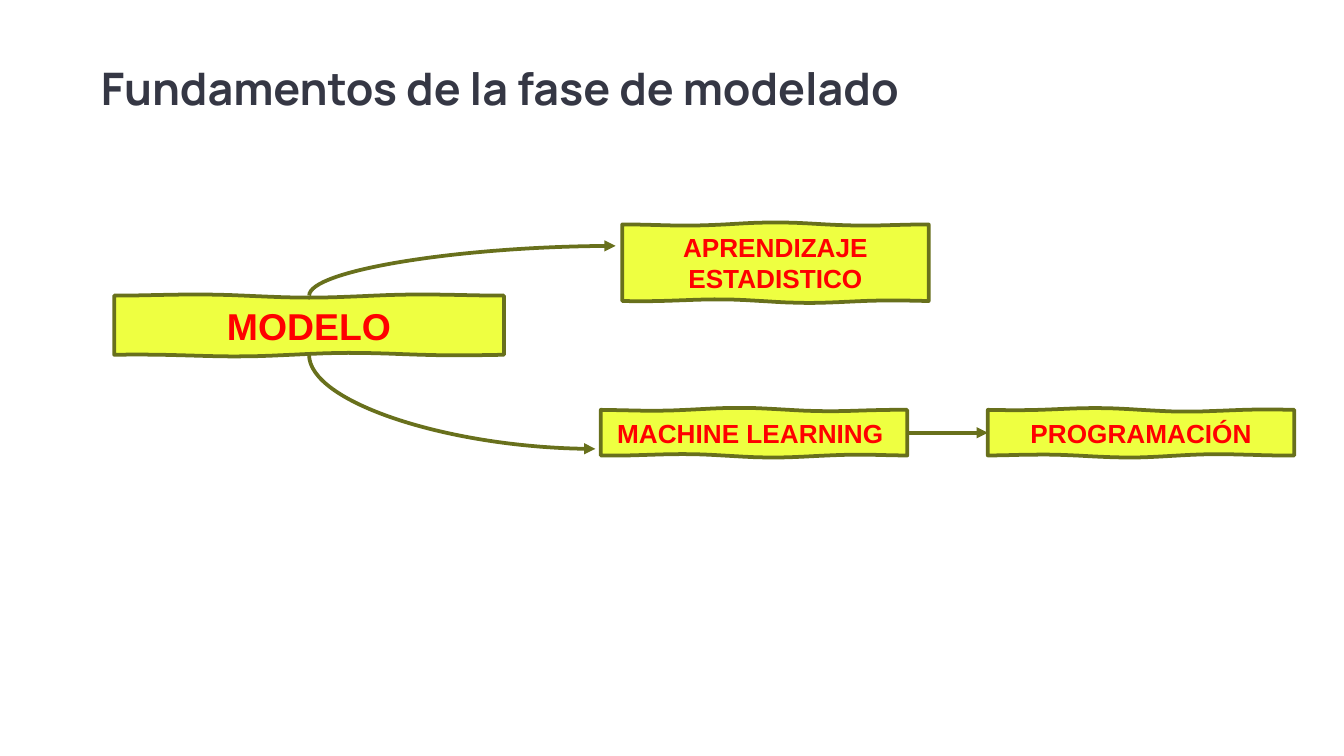
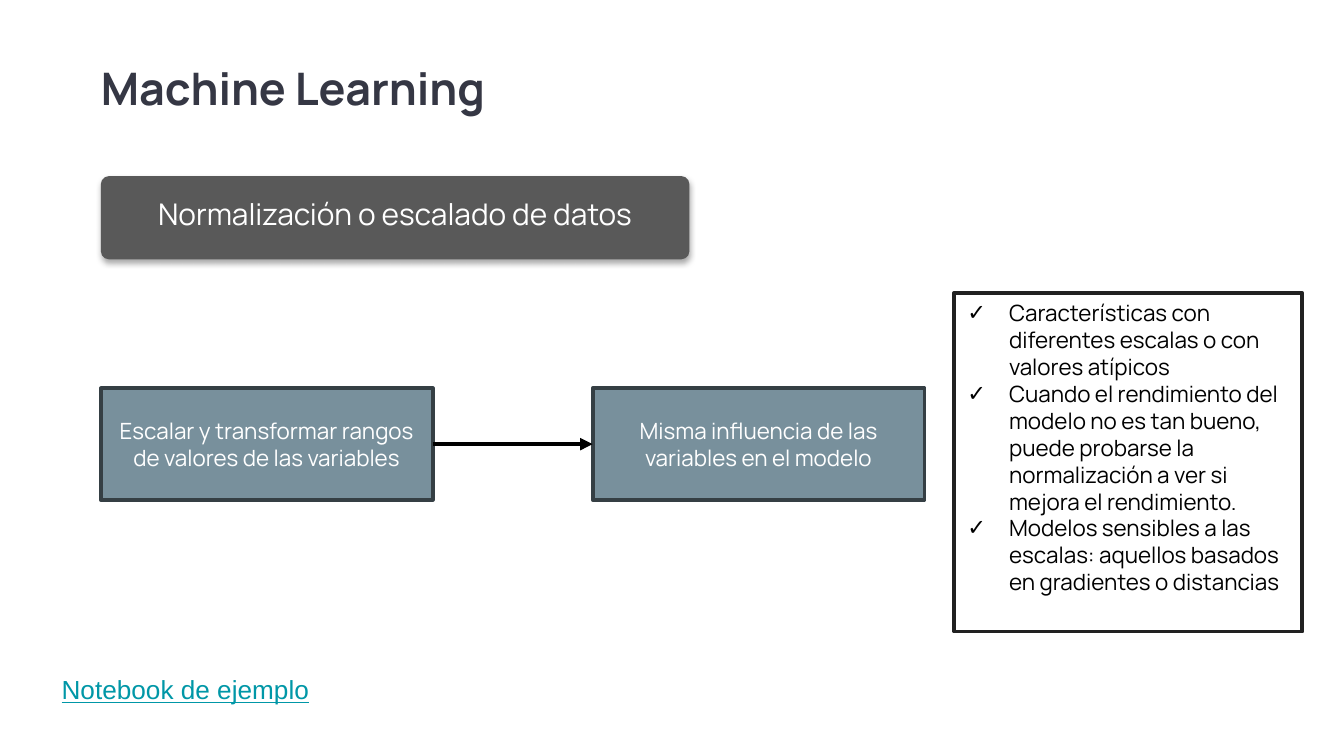
from math import pi, sin

from pptx import Presentation
from pptx.dml.color import RGBColor
from pptx.enum.shapes import MSO_CONNECTOR as LINK, MSO_SHAPE as SHAPE
from pptx.enum.text import MSO_ANCHOR as ANCHOR, PP_ALIGN as ALIGN
from pptx.oxml import parse_xml
from pptx.oxml.ns import qn
from pptx.util import Inches, Pt
from lxml.etree import SubElement

# Shared style
COLORS = {
    "title": "353744", "yellow": "EEFF41", "olive": "68701C", "red": "FF0000",
    "banner": "595959", "slate": "78909C", "slate_edge": "353F44",
    "ink": "212121", "black": "000000", "white": "FFFFFF", "link": "0097A7",
}
BODY, LABEL = "Manrope", "Arial"
TITLE_AT = (0.75, 0.5, 7.44, 0.43)
DRAWING_NS = "http://schemas.openxmlformats.org/drawingml/2006/main"

# Slide 1: text, place, size, phase of the wavy edges
MODEL_TITLE = "Fundamentos de la fase de modelado"
CONCEPTS = [
    ("MODELO", (0.85, 2.2, 2.9, 0.44), 20, pi),
    ("APRENDIZAJE ESTADISTICO", (4.63, 1.67, 2.28, 0.57), 14, 0),
    ("MACHINE LEARNING ", (4.47, 3.05, 2.28, 0.34), 14, 0.5),
    ("PROGRAMACIÓN", (7.35, 3.05, 2.28, 0.34), 14, pi / 2),
]
BRANCHES = [((2.3, 2.64), (4.43, 3.34)), ((2.3, 2.2), (4.58, 1.83))]
PROGRAMMING_ARROW = ((6.76, 3.22), (7.35, 3.22))
WAVE_HEIGHT, WAVES, WAVE_STEPS = 0.015, 1.5, 30

# Slide 2
ML_TITLE = "Machine Learning"
BANNER = "Normalización o escalado de datos"
STEPS = ["Escalar y transformar rangos de valores de las variables",
         "Misma influencia de las variables en el modelo"]
STEP_LEFT, STEP_PITCH, STEP_TOP, STEP_SIZE = 0.75, 3.66, 2.89, (2.47, 0.83)
USES = [
    "Características con diferentes escalas o con valores atípicos",
    "Cuando el rendimiento del modelo no es tan bueno, puede probarse la "
    "normalización a ver si mejora el rendimiento.",
    "Modelos sensibles a las escalas: aquellos basados en gradientes o distancias",
]
NOTEBOOK = "Notebook de ejemplo"


def rgb(name):
    return RGBColor.from_string(COLORS[name])


def inches(values):
    return [Inches(value) for value in values]


def paint(shape, fill, edge=None):
    shape.shadow.inherit = False
    shape.fill.solid()
    shape.fill.fore_color.rgb = rgb(fill)
    if edge:
        shape.line.color.rgb = rgb(edge)
        shape.line.width = Pt(2)
    else:
        shape.line.fill.background()


def write(shape, texts, size, color, font=BODY, align=ALIGN.LEFT,
          anchor=ANCHOR.TOP, bold=False, underline=False, spacing=None,
          bullet=None, inset=None):
    frame = shape.text_frame
    frame.word_wrap = True
    frame.vertical_anchor = anchor
    if inset is not None:
        frame.margin_left = frame.margin_right = Inches(inset)
        frame.margin_top = frame.margin_bottom = Inches(inset)
    for index, text in enumerate(texts):
        paragraph = frame.add_paragraph() if index else frame.paragraphs[0]
        paragraph.alignment = align
        if spacing:
            paragraph.line_spacing = spacing
        if bullet:
            props = paragraph._p.get_or_add_pPr()
            props.set("marL", str(Inches(0.31)))
            props.set("indent", str(-Inches(0.31)))
            tint = SubElement(props, qn("a:buClr"))
            SubElement(tint, qn("a:srgbClr"), val=COLORS[color])
            SubElement(props, qn("a:buFont"), typeface=LABEL)
            SubElement(props, qn("a:buChar"), char=bullet)
        run = paragraph.add_run()
        run.text = text
        run.font.name, run.font.size = font, Pt(size)
        run.font.bold, run.font.underline = bold, underline
        run.font.color.rgb = rgb(color)


def add_titled_slide(deck, title):
    slide = deck.slides.add_slide(deck.slide_layouts[5])
    heading = slide.shapes.title
    heading.left, heading.top, heading.width, heading.height = inches(TITLE_AT)
    write(heading, [title], 24, "title", bold=True, spacing=0.9, inset=0)
    return slide


def add_box(slide, kind, place, fill, edge=None):
    box = slide.shapes.add_shape(kind, *inches(place))
    paint(box, fill, edge)
    return box


def add_wavy_box(slide, place, phase):
    left, top, width, height = place

    def edge(y, shift):
        for step in range(WAVE_STEPS + 1):
            t = step / WAVE_STEPS
            wave = WAVE_HEIGHT * sin(pi * t) * sin(2 * pi * WAVES * t + shift)
            yield Inches(left + width * t), Inches(y + wave)

    outline = list(edge(top, phase)) + list(edge(top + height, phase + 2))[::-1]
    builder = slide.shapes.build_freeform(*outline[0])
    builder.add_line_segments(outline[1:], close=True)
    box = builder.convert_to_shape()
    paint(box, "yellow", "olive")
    return box


def add_arrow(slide, start, end, color, width, kind=LINK.STRAIGHT):
    arrow = slide.shapes.add_connector(kind, *inches(start + end))
    arrow.line.color.rgb = rgb(color)
    arrow.line.width = Pt(width)
    SubElement(arrow.line._get_or_add_ln(), qn("a:tailEnd"), type="triangle")
    SubElement(arrow._element.spPr, qn("a:effectLst"))
    return arrow


def add_branch(slide, start, end):
    """Quarter curve that leaves vertically and arrives horizontally."""
    (x0, y0), (x1, y1) = start, end
    mid_x, mid_y = (x0 + x1) / 2, (y0 + y1) / 2
    half_w, half_h = abs(y1 - y0) / 2, (x1 - x0) / 2
    down = y1 > y0
    if down:
        half_h = -half_h
    arrow = add_arrow(slide, (mid_x + half_w, mid_y + half_h),
                      (mid_x - half_w, mid_y - half_h), "olive", 2, LINK.CURVE)
    props = arrow._element.spPr
    props.find(qn("a:xfrm")).set("rot", str((270 if down else 90) * 60000))
    props.find(qn("a:prstGeom")).set("prst", "curvedConnector2")


def build_model_slide(deck):
    slide = add_titled_slide(deck, MODEL_TITLE)
    for text, place, size, phase in CONCEPTS:
        concept = add_wavy_box(slide, place, phase)
        write(concept, [text], size, "red", LABEL, ALIGN.CENTER,
              ANCHOR.MIDDLE, bold=True)
    for start, end in BRANCHES:
        add_branch(slide, start, end)
    add_arrow(slide, *PROGRAMMING_ARROW, "olive", 2)


def build_scaling_slide(deck):
    slide = add_titled_slide(deck, ML_TITLE)

    notebook = slide.shapes.add_textbox(*inches((0.36, 4.96, 2.75, 0.34)))
    write(notebook, [NOTEBOOK], 14, "link", LABEL, underline=True)

    # Banner with a soft shadow
    banner = add_box(slide, SHAPE.ROUNDED_RECTANGLE, (0.75, 1.31, 4.38, 0.62), "banner")
    banner.adjustments[0] = 0.1
    effects = banner._element.spPr.find(qn("a:effectLst"))
    effects.append(parse_xml(
        f'<a:outerShdw xmlns:a="{DRAWING_NS}" blurRad="{Pt(3.1)}" dist="{Pt(1.8)}" '
        f'dir="5400000" rotWithShape="0"><a:srgbClr val="{COLORS["black"]}">'
        '<a:alpha val="35000"/></a:srgbClr></a:outerShdw>'))
    caption = slide.shapes.add_textbox(*inches((0.75, 1.31, 4.38, 0.59)))
    write(caption, [BANNER], 16, "white", align=ALIGN.CENTER,
          anchor=ANCHOR.MIDDLE, spacing=0.9, inset=0.07)

    # Steps joined by an arrow
    steps = []
    for index, text in enumerate(STEPS):
        place = (STEP_LEFT + index * STEP_PITCH, STEP_TOP, *STEP_SIZE)
        step = add_box(slide, SHAPE.RECTANGLE, place, "slate", "slate_edge")
        write(step, [text], 12, "white", align=ALIGN.CENTER, anchor=ANCHOR.MIDDLE)
        steps.append(step)
    arrow = add_arrow(slide, (3.22, 3.31), (4.41, 3.31), "black", 2.25)
    arrow.begin_connect(steps[0], 3)
    arrow.end_connect(steps[1], 1)

    # When to normalise
    uses = add_box(slide, SHAPE.RECTANGLE, (7.1, 2.18, 2.59, 2.52), "white", "ink")
    write(uses, USES, 12, "black", bullet="✓")


def main():
    deck = Presentation()
    deck.slide_width = Inches(10)
    deck.slide_height = deck.slide_width * 9 // 16
    build_model_slide(deck)
    build_scaling_slide(deck)
    deck.save("out.pptx")


if __name__ == "__main__":
    main()
